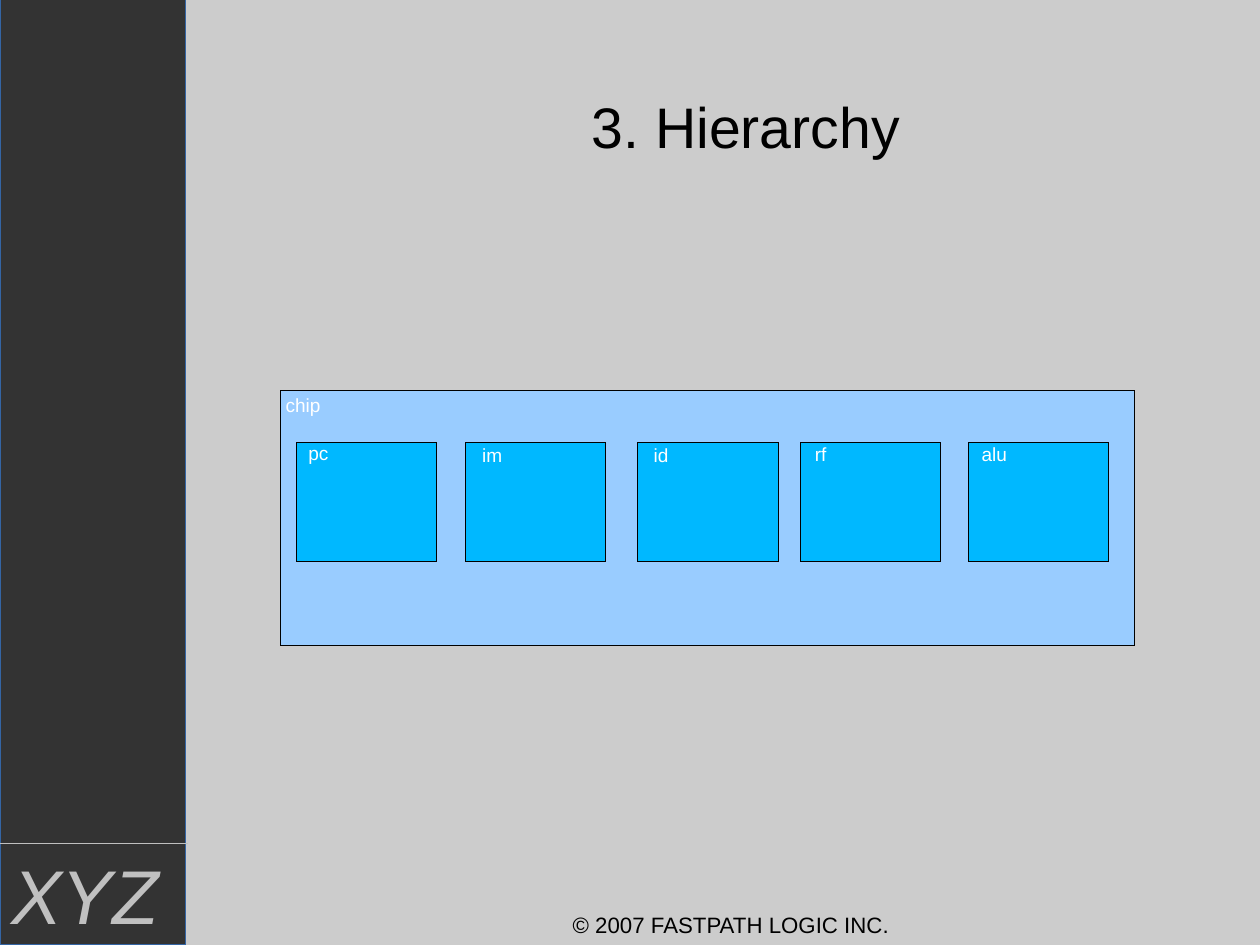
from dataclasses import dataclass

import pptx
import pptx.dml.color
import pptx.enum.shapes
import pptx.enum.text
import pptx.oxml
import pptx.util
from pptx.enum.text import PP_ALIGN

SLIDE_WIDTH, SLIDE_HEIGHT = pptx.util.Cm(28), pptx.util.Cm(21)
CELL = pptx.util.Inches(0.1)
ROWS = SLIDE_HEIGHT / CELL
FONT = "Arial"
COLOURS = {
    "background": "CCCCCC",
    "sidebar": "333333",
    "sidebar edge": "3465A4",
    "silver": "C0C0C0",
    "chip": "99CCFF",
    "unit": "00B8FF",
    "black": "000000",
    "white": "FFFFFF",
}


@dataclass(frozen=True)
class Area:
    """A rectangle in grid columns and rows."""
    column: float
    row: float
    columns: float
    rows: float

    def emu(self) -> tuple[int, ...]:
        return tuple(cells(n) for n in (self.column, self.row, self.columns, self.rows))


@dataclass(frozen=True)
class Unit:
    name: str
    column: float
    label_column: float
    label_row: float
    label_columns: float


UNITS = (
    Unit("pc", 25.9, 26, 38.1, 4.2),
    Unit("im", 40.7, 41.2, 38.3, 4.2),
    Unit("id", 55.8, 56.2, 38.3, 5.5),
    Unit("rf", 70, 70.3, 38.2, 5.5),
    Unit("alu", 84.7, 84.9, 38.2, 5.5),
)
UNIT_ROW, UNIT_COLUMNS, UNIT_ROWS = 38.7, 12.3, 10.4
LABEL_ROWS = 3.5


def cells(count: float) -> int:
    return round(count * CELL)


def colour(name: str) -> pptx.dml.color.RGBColor:
    return pptx.dml.color.RGBColor.from_string(COLOURS[name])


def set_hairline(shape, ink: str) -> None:
    """Give the shape the thinnest line; an explicit zero overrides the theme width."""
    shape.line.color.rgb = colour(ink)
    shape.element.spPr.find(pptx.oxml.ns.qn("a:ln")).set("w", "0")


def add_block(slide, area: Area, fill: str, edge: str = "black") -> None:
    block = slide.shapes.add_shape(pptx.enum.shapes.MSO_SHAPE.RECTANGLE, *area.emu())
    block.shadow.inherit = False
    block.fill.solid()
    block.fill.fore_color.rgb = colour(fill)
    set_hairline(block, edge)


def write(frame, text: str, size: float, ink: str, align: PP_ALIGN,
          italic: bool = False) -> None:
    frame.word_wrap = True
    frame.text = text
    paragraph = frame.paragraphs[0]
    paragraph.alignment = align
    paragraph.font.name = FONT
    paragraph.font.size = pptx.util.Pt(size)
    paragraph.font.italic = italic
    paragraph.font.color.rgb = colour(ink)


def add_text(slide, area: Area, text: str, size: float = 12, ink: str = "white",
             align: PP_ALIGN = PP_ALIGN.LEFT, italic: bool = False) -> None:
    box = slide.shapes.add_textbox(*area.emu())
    write(box.text_frame, text, size, ink, align, italic)


def add_rule(slide, row: float, columns: float) -> None:
    """Draw a horizontal silver hairline from the left edge."""
    rule = slide.shapes.add_connector(
        pptx.enum.shapes.MSO_CONNECTOR.STRAIGHT,
        0, cells(row), cells(columns), cells(row))
    set_hairline(rule, "silver")
    properties = rule.element.spPr
    properties.append(properties.makeelement(pptx.oxml.ns.qn("a:effectLst"), {}))


def add_sidebar(slide) -> None:
    add_block(slide, Area(0, 0, 16.2, ROWS), "sidebar", "sidebar edge")
    add_text(slide, Area(0, 73.7, 20.6, 10.8), "XYZ", 48, "silver", italic=True)
    add_rule(slide, 73.8, 16.4)


def set_title(slide, area: Area, text: str) -> None:
    title = slide.shapes.title
    title.left, title.top, title.width, title.height = area.emu()
    frame = title.text_frame
    frame.margin_left = frame.margin_right = frame.margin_top = frame.margin_bottom = 0
    frame.vertical_anchor = pptx.enum.text.MSO_ANCHOR.MIDDLE
    write(frame, text, 36, "black", PP_ALIGN.CENTER)


def add_chip(slide) -> None:
    add_block(slide, Area(24.5, 34.2, 74.8, 22.3), "chip")
    add_text(slide, Area(24, 33.9, 5.9, LABEL_ROWS), "chip")
    for unit in UNITS:
        add_block(slide, Area(unit.column, UNIT_ROW, UNIT_COLUMNS, UNIT_ROWS), "unit")
        add_text(slide, Area(unit.label_column, unit.label_row,
                             unit.label_columns, LABEL_ROWS), unit.name)


def main() -> None:
    deck = pptx.Presentation()
    deck.slide_width, deck.slide_height = SLIDE_WIDTH, SLIDE_HEIGHT
    slide = deck.slides.add_slide(deck.slide_layouts.get_by_name("Title Only"))
    slide.background.fill.solid()
    slide.background.fill.fore_color.rgb = colour("background")

    add_sidebar(slide)
    set_title(slide, Area(28.5, 3.8, 73.5, 14.4), "3. Hierarchy")
    add_chip(slide)
    add_text(slide, Area(38.1, 79.2, 51.7, 3.4), "© 2007 FASTPATH LOGIC INC.",
             14, "black", PP_ALIGN.CENTER)
    deck.save("out.pptx")


if __name__ == "__main__":
    main()
